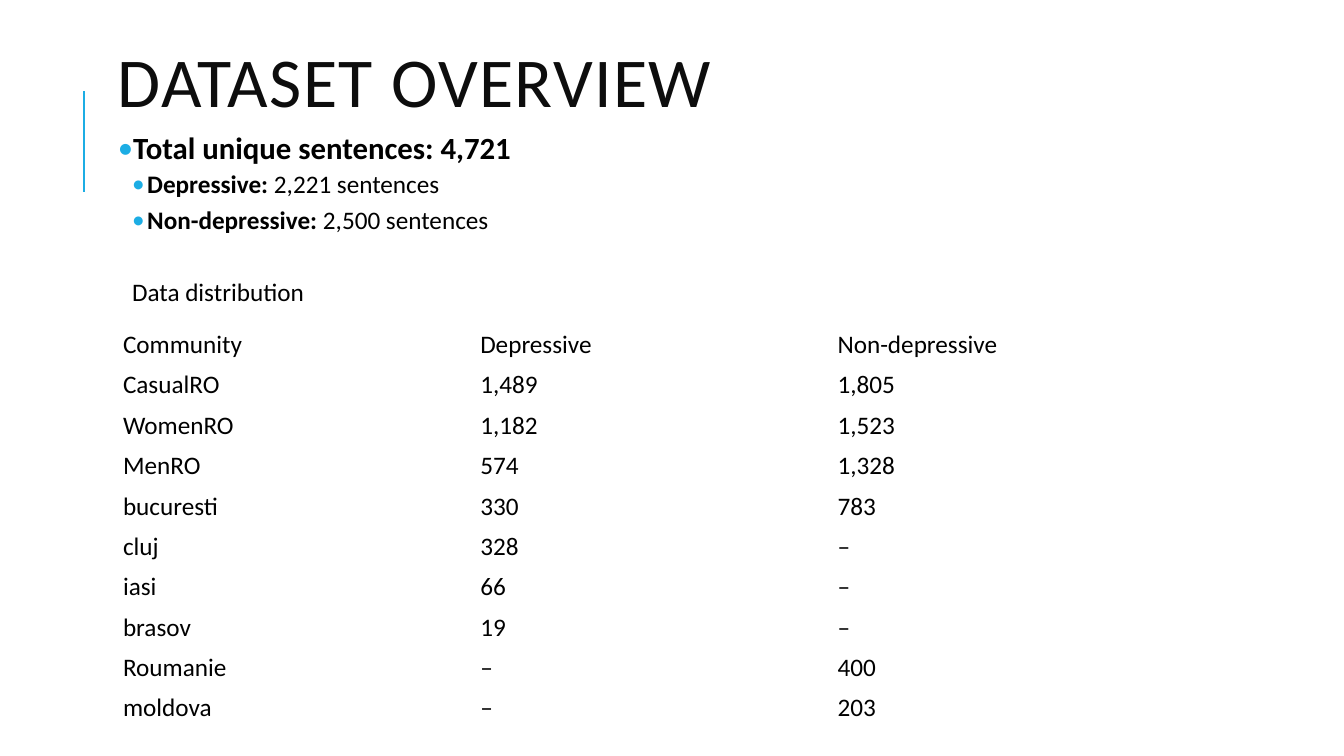
from dataclasses import dataclass

from lxml import etree
from pptx import Presentation
from pptx import util as u
from pptx.dml.color import RGBColor
from pptx.enum import shapes, text
from pptx.oxml import ns


@dataclass(frozen=True)
class Theme:
    font: str = "Calibri"
    title_color: RGBColor = RGBColor.from_string("0D0D0D")
    text_color: RGBColor = RGBColor.from_string("000000")
    accent: RGBColor = RGBColor.from_string("1CADE4")
    title_size: int = 50
    lead_size: int = 22
    body_size: int = 18


LEFT, WIDTH = 1.12, 10.63

# Each paragraph: runs as (text, bold), size key, left indent, hanging, before, after
SUMMARY = [
    ([("Total unique sentences: 4,721", True)], "lead_size", 0.1, 0.1, 0, 2),
    ([("Depressive:", True), (" 2,221 sentences", False)], "body_size", 0.29, 0.15, 2, 4),
    ([("Non-depressive:", True), (" 2,500 sentences", False)], "body_size", 0.29, 0.15, 2, 4),
    ([("Data distribution", False)], "body_size", 0.14, 0, 28, 4),
]

DISTRIBUTION = [
    ("Community", "Depressive", "Non-depressive"),
    ("CasualRO", "1,489", "1,805"),
    ("WomenRO", "1,182", "1,523"),
    ("MenRO", "574", "1,328"),
    ("bucuresti", "330", "783"),
    ("cluj", "328", "–"),
    ("iasi", "66", "–"),
    ("brasov", "19", "–"),
    ("Roumanie", "–", "400"),
    ("moldova", "–", "203"),
]


class SlideBuilder:
    def __init__(self, slide, theme):
        self.slide = slide
        self.theme = theme

    def style(self, paragraph, size, color):
        font = paragraph.font
        font.name, font.size, font.color.rgb = self.theme.font, u.Pt(size), color

    def accent_line(self, x, top, bottom):
        line = self.slide.shapes.add_connector(
            shapes.MSO_CONNECTOR.STRAIGHT,
            u.Inches(x), u.Inches(bottom), u.Inches(x), u.Inches(top))
        line.line.color.rgb = self.theme.accent
        line.line.width = u.Pt(1.5)
        etree.SubElement(line._element.spPr, ns.qn("a:effectLst"))

    def text_frame(self, top, height, anchor):
        box = self.slide.shapes.add_textbox(
            u.Inches(LEFT), u.Inches(top), u.Inches(WIDTH), u.Inches(height))
        frame = box.text_frame
        frame.word_wrap = True
        frame.vertical_anchor = anchor
        frame.margin_left = frame.margin_right = u.Inches(0.05)
        frame.margin_top = frame.margin_bottom = u.Inches(0.05)
        return frame

    def title(self, wording, top, height):
        paragraph = self.text_frame(top, height, text.MSO_ANCHOR.MIDDLE).paragraphs[0]
        run = paragraph.add_run()
        run.text = wording
        run.font._element.set("spc", "100")
        paragraph.line_spacing = 0.8
        self.style(paragraph, self.theme.title_size, self.theme.title_color)

    def indent(self, paragraph, left, hanging):
        """Set the left indent, with a hanging accent bullet if hanging is not zero."""
        properties = paragraph._p.get_or_add_pPr()
        properties.set("marL", str(u.Inches(left)))
        properties.set("indent", str(-u.Inches(hanging)))
        if hanging:
            color = etree.SubElement(properties, ns.qn("a:buClr"))
            etree.SubElement(color, ns.qn("a:srgbClr"), val=str(self.theme.accent))
            etree.SubElement(properties, ns.qn("a:buFont"), typeface=self.theme.font)
            etree.SubElement(properties, ns.qn("a:buChar"), char="•")

    def summary(self, items, top, height):
        frame = self.text_frame(top, height, text.MSO_ANCHOR.TOP)
        for index, (runs, size, left, hanging, before, after) in enumerate(items):
            paragraph = frame.add_paragraph() if index else frame.paragraphs[0]
            paragraph.line_spacing = 0.9
            paragraph.space_before, paragraph.space_after = u.Pt(before), u.Pt(after)
            self.indent(paragraph, left, hanging)
            self.style(paragraph, getattr(self.theme, size), self.theme.text_color)
            for wording, bold in runs:
                run = paragraph.add_run()
                run.text, run.font.bold = wording, bold

    def table(self, rows, top, height):
        table = self.slide.shapes.add_table(
            len(rows), len(rows[0]), u.Inches(LEFT), u.Inches(top),
            u.Inches(WIDTH), u.Inches(height)).table
        table.first_row = table.horz_banding = False
        for row, values in enumerate(rows):
            for column, value in enumerate(values):
                cell = table.cell(row, column)
                cell.text = value
                cell.vertical_anchor = text.MSO_ANCHOR.MIDDLE
                self.style(cell.text_frame.paragraphs[0],
                           self.theme.body_size, self.theme.text_color)
                self.clear_cell(cell)

    def clear_cell(self, cell):
        """Remove the borders and the fill that the table style gives."""
        properties = cell._tc.get_or_add_tcPr()
        for side in ("a:lnL", "a:lnR", "a:lnT", "a:lnB"):
            border = etree.SubElement(properties, ns.qn(side))
            etree.SubElement(border, ns.qn("a:noFill"))
        cell.fill.background()


def main():
    presentation = Presentation()
    presentation.slide_width = u.Inches(13.33)
    presentation.slide_height = u.Inches(7.5)
    slide = presentation.slides.add_slide(presentation.slide_layouts[6])

    builder = SlideBuilder(slide, Theme())
    builder.accent_line(0.83, 0.9, 1.9)
    builder.title("DATASET OVERVIEW", 0.05, 1.64)
    builder.summary(SUMMARY, 1.27, 4.4)
    builder.table(DISTRIBUTION, 3.22, 4)

    presentation.save("out.pptx")


if __name__ == "__main__":
    main()
